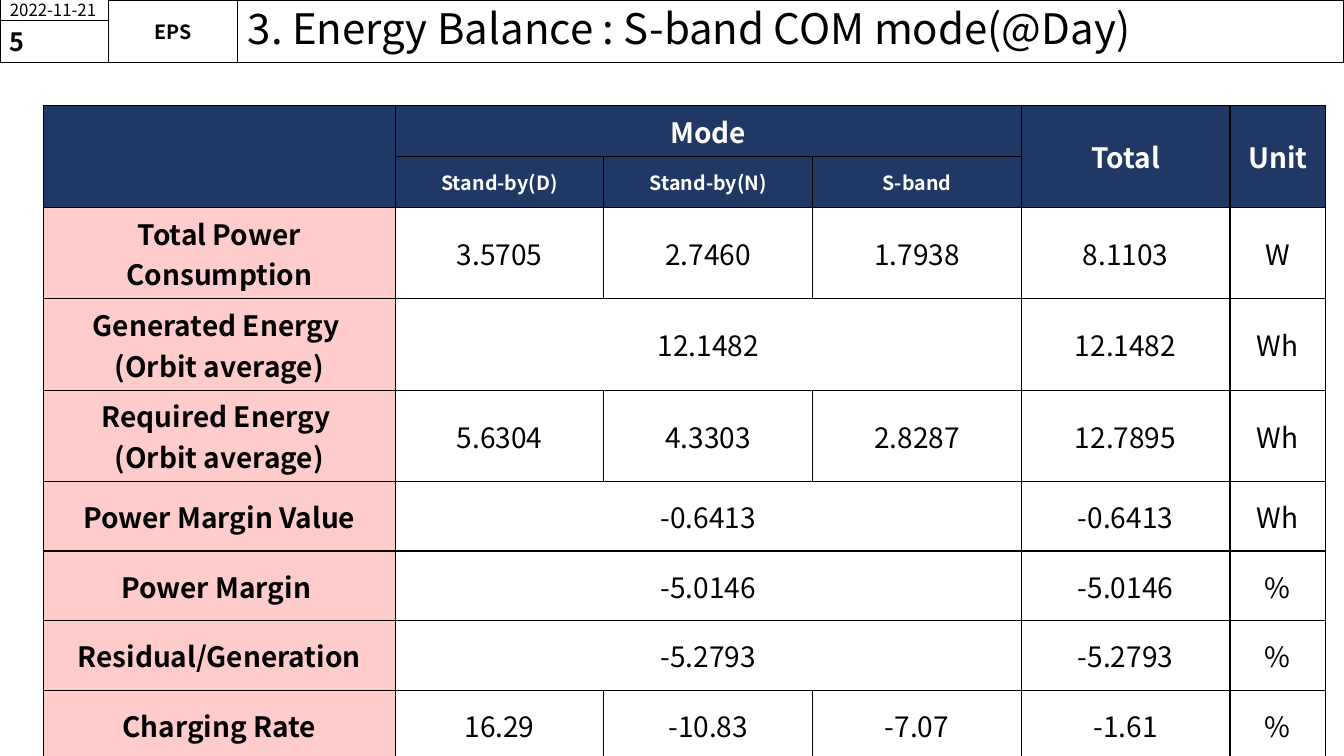
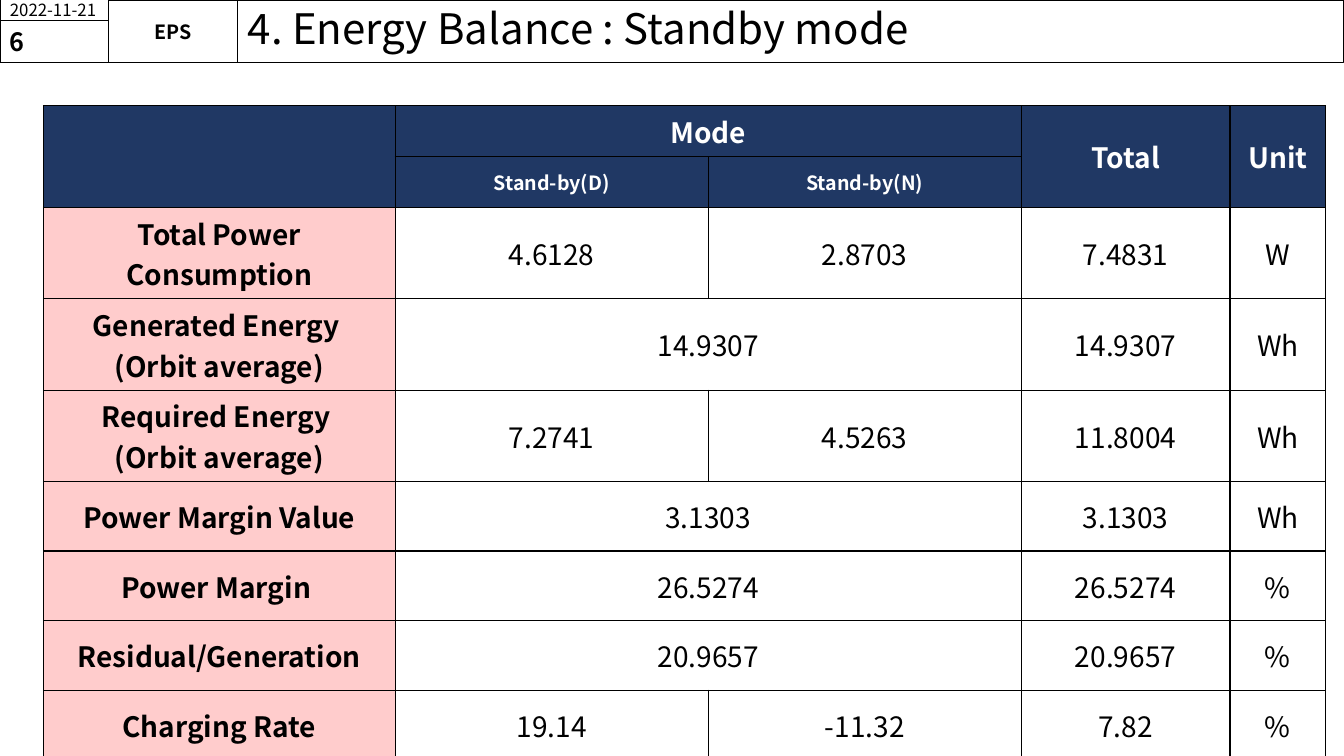
from dataclasses import dataclass

from lxml import etree
from pptx import Presentation
from pptx.dml.color import RGBColor
from pptx.enum.shapes import MSO_SHAPE
from pptx.enum.text import MSO_ANCHOR, PP_ALIGN
from pptx.oxml.ns import qn
from pptx.util import Inches, Pt


@dataclass(frozen=True)
class Theme:
    font: str = "Noto Sans CJK KR"
    black: str = "000000"
    white: str = "FFFFFF"
    navy: str = "203864"
    pink: str = "FFCCCC"
    title: int = 30
    body: int = 20
    page: int = 18
    small: int = 14
    date: int = 12


T = Theme()


def write(tf, text, size=T.body, bold=False, color=T.black,
          align=PP_ALIGN.CENTER, spacing=None):
    """Fill a text frame, one paragraph per line of text."""
    for i, line in enumerate(text.split("\n")):
        p = tf.paragraphs[0] if i == 0 else tf.add_paragraph()
        p.alignment = align
        if spacing:
            p.line_spacing = spacing
        r = p.add_run()
        r.text = line
        r.font.name, r.font.size, r.font.bold = T.font, Pt(size), bold
        r.font.color.rgb = RGBColor.from_string(color)
        fonts = r.font._element
        etree.SubElement(fonts, qn("a:ea")).set("typeface", T.font)


def style_cell(cell, fill=None):
    """Draw thin black borders and an optional fill."""
    cell.vertical_anchor = MSO_ANCHOR.MIDDLE
    tc_pr = cell._tc.get_or_add_tcPr()
    for side in ("a:lnL", "a:lnR", "a:lnT", "a:lnB"):
        ln = etree.SubElement(tc_pr, qn(side), w=str(Pt(1)))
        solid = etree.SubElement(ln, qn("a:solidFill"))
        etree.SubElement(solid, qn("a:srgbClr"), val=T.black)
    if fill:
        cell.fill.solid()
        cell.fill.fore_color.rgb = RGBColor.from_string(fill)
    else:
        cell.fill.background()


# Contents: each row has a label and unit; a single mode value spans all modes
ROWS = [
    ("Total Power Consumption", "W"),
    ("Generated Energy \n(Orbit average)", "Wh"),
    ("Required Energy \n(Orbit average)", "Wh"),
    ("Power Margin Value", "Wh"),
    ("Power Margin ", "%"),
    ("Residual/Generation", "%"),
    ("Charging Rate", "%"),
]
SLIDES = [
    ("3. Energy Balance : S-band COM mode(@Day)",
     ["Stand-by(D)", "Stand-by(N)", "S-band"],
     [(["3.5705", "2.7460", "1.7938"], "8.1103"),
      (["12.1482"], "12.1482"),
      (["5.6304", "4.3303", "2.8287"], "12.7895"),
      (["-0.6413"], "-0.6413"),
      (["-5.0146"], "-5.0146"),
      (["-5.2793"], "-5.2793"),
      (["16.29", "-10.83", "-7.07"], "-1.61")]),
    ("4. Energy Balance : Standby mode",
     ["Stand-by(D)", "Stand-by(N)"],
     [(["4.6128", "2.8703"], "7.4831"),
      (["14.9307"], "14.9307"),
      (["7.2741", "4.5263"], "11.8004"),
      (["3.1303"], "3.1303"),
      (["26.5274"], "26.5274"),
      (["20.9657"], "20.9657"),
      (["19.14", "-11.32"], "7.82")]),
]
FIRST_PAGE = 5
MODES_WIDTH = 6.21
ROW_HEIGHTS = [0.5] * 2 + [0.9] * 3 + [0.69] * 4

prs = Presentation()
prs.slide_width, prs.slide_height = Inches(13.33), Inches(7.5)

for page, (title, modes, values) in enumerate(SLIDES, FIRST_PAGE):
    s = prs.slides.add_slide(prs.slide_layouts[6])

    # Header band: box, text, side inset, format
    left = PP_ALIGN.LEFT
    header = [
        ((2.36, 0, 10.97, 0.62), title, 0.1,
         dict(size=T.title, align=left, spacing=0.9)),
        ((0, 0, 1.08, 0.2), "2022-11-21", 0.1, dict(size=T.date, align=left)),
        ((1.08, 0, 1.28, 0.62), "EPS", 0, dict(size=T.small, bold=True)),
        ((0, 0.2, 1.08, 0.42), str(page), 0.1,
         dict(size=T.page, bold=True, align=left)),
    ]
    for box, text, inset, fmt in header:
        sp = s.shapes.add_shape(MSO_SHAPE.RECTANGLE, *map(Inches, box))
        sp.shadow.inherit = False
        sp.fill.background()
        sp.line.color.rgb = RGBColor.from_string(T.black)
        sp.line.width = Pt(0.75)
        tf = sp.text_frame
        tf.word_wrap = True
        tf.vertical_anchor = MSO_ANCHOR.MIDDLE
        tf.margin_left = tf.margin_right = Inches(inset)
        tf.margin_top = tf.margin_bottom = Inches(inset / 2)
        write(tf, text, **fmt)

    # Table grid
    n = len(modes)
    widths = [3.49] + [MODES_WIDTH / n] * n + [2.07, 0.95]
    total, unit = n + 1, n + 2
    table = s.shapes.add_table(
        len(ROW_HEIGHTS), len(widths), Inches(0.43), Inches(1.05),
        Inches(sum(widths)), Inches(sum(ROW_HEIGHTS))).table
    table.first_row = table.horz_banding = False
    for col, width in zip(table.columns, widths):
        col.width = Inches(width)
    for row, height in zip(table.rows, ROW_HEIGHTS):
        row.height = Inches(height)
    for r in range(len(ROW_HEIGHTS)):
        for c in range(len(widths)):
            fill = T.navy if r < 2 else T.pink if c == 0 else None
            style_cell(table.cell(r, c), fill)

    # Table headings
    for c in (0, total, unit):
        table.cell(0, c).merge(table.cell(1, c))
    table.cell(0, 1).merge(table.cell(0, n))
    for c, text in ((1, "Mode"), (total, "Total"), (unit, "Unit")):
        write(table.cell(0, c).text_frame, text, bold=True, color=T.white)
    for c, mode in enumerate(modes, 1):
        write(table.cell(1, c).text_frame, mode, size=T.small, bold=True,
              color=T.white)

    # Table body
    for r, ((label, unit_text), (by_mode, sum_text)) in enumerate(
            zip(ROWS, values), 2):
        write(table.cell(r, 0).text_frame, label, bold=True)
        if len(by_mode) == 1:
            table.cell(r, 1).merge(table.cell(r, n))
        for c, value in enumerate(by_mode, 1):
            write(table.cell(r, c).text_frame, value)
        write(table.cell(r, total).text_frame, sum_text)
        write(table.cell(r, unit).text_frame, unit_text)

prs.save("out.pptx")
